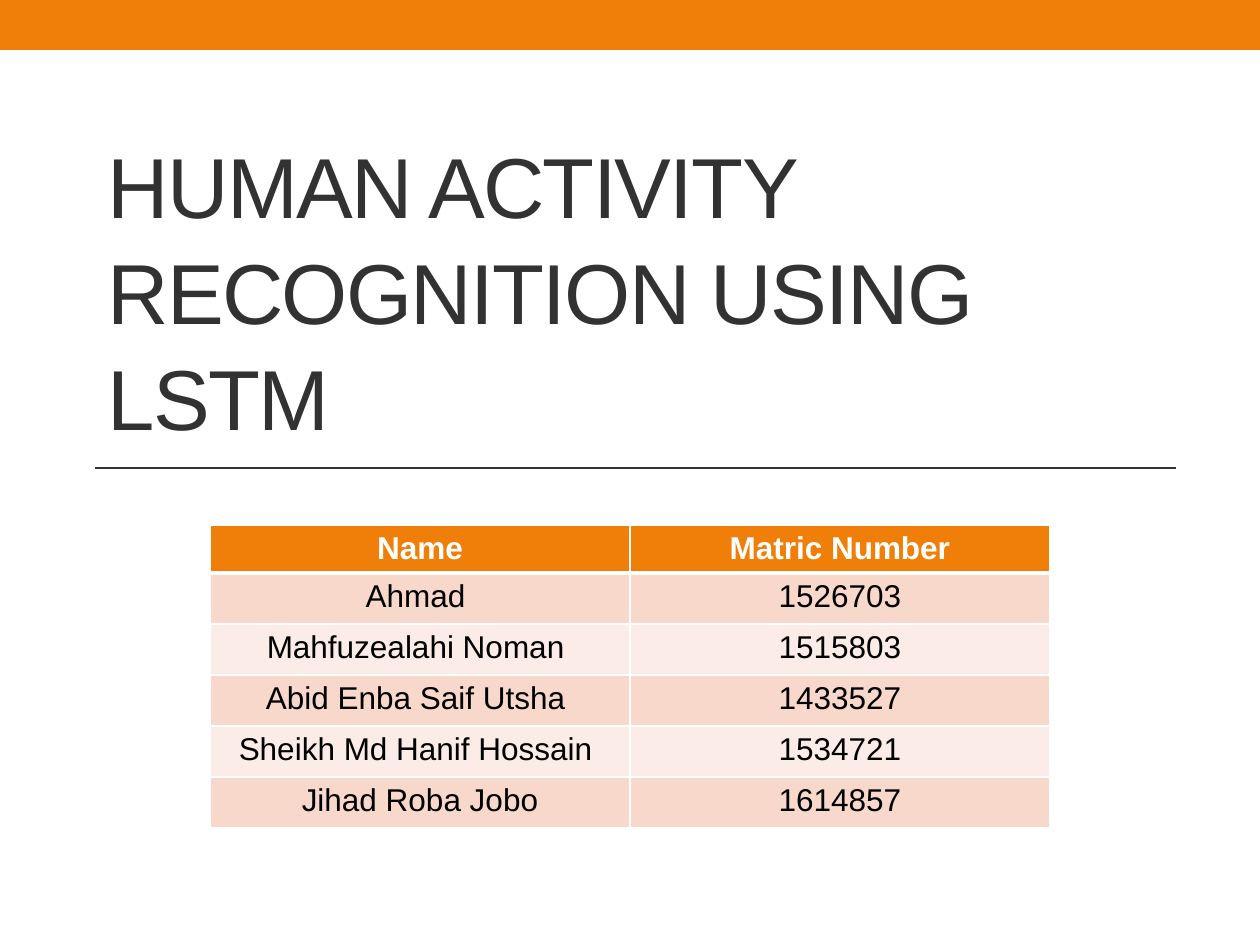
"""Build a title slide with a table of group members."""
from dataclasses import dataclass

from lxml.etree import SubElement
from pptx import Presentation
from pptx.dml.color import RGBColor
from pptx.enum.shapes import MSO_CONNECTOR, MSO_SHAPE
from pptx.enum.text import MSO_ANCHOR, MSO_AUTO_SIZE, PP_ALIGN
from pptx.oxml.ns import qn
from pptx.util import Emu, Pt

TITLE = "HUMAN ACTIVITY RECOGNITION USING LSTM"
ROWS = [
    ("Name", "Matric Number"),
    ("Ahmad ", "1526703"),
    ("Mahfuzealahi Noman ", "1515803"),
    ("Abid Enba Saif Utsha ", "1433527"),
    ("Sheikh Md Hanif Hossain ", "1534721"),
    ("Jihad Roba Jobo", "1614857"),
]


@dataclass(frozen=True)
class Theme:
    font: str = "Arial"
    accent: str = "F07F09"
    dark: str = "323232"
    white: str = "FFFFFF"
    black: str = "000000"
    bands: tuple = ("F9D8CC", "FCECE7")
    title_size: float = 48.6
    table_size: float = 18


THEME = Theme()
WIDTH, HEIGHT = 1260, 945
MARGIN, CONTENT_WIDTH = 95, 1081
TABLE_LEFT, TABLE_TOP, COLUMN_WIDTH = 210, 525, 420
HEADER_HEIGHT, ROW_HEIGHT = 48, 51


def px(value):
    return Emu(round(value * 914400 / 126))


def color(value):
    return RGBColor.from_string(value)


def style(paragraph, size, hue, alignment, bold=False):
    paragraph.alignment = alignment
    font = paragraph.font
    font.name, font.size, font.bold = THEME.font, Pt(size), bold
    font.color.rgb = color(hue)


def add_bar(slide):
    bar = slide.shapes.add_shape(MSO_SHAPE.RECTANGLE, 0, 0, px(WIDTH), px(50))
    bar.shadow.inherit = False
    bar.fill.solid()
    bar.fill.fore_color.rgb = color(THEME.accent)
    bar.line.fill.background()


def add_rule(slide):
    rule = slide.shapes.add_connector(
        MSO_CONNECTOR.STRAIGHT, px(MARGIN), px(468), px(MARGIN + CONTENT_WIDTH), px(468))
    rule.line.color.rgb = color(THEME.dark)
    rule.line.width = Pt(1.5)
    SubElement(rule._element.spPr, qn("a:effectLst"))


def fill_title(title):
    title.left, title.top = px(MARGIN), px(136)
    title.width, title.height = px(CONTENT_WIDTH), px(318)
    frame = title.text_frame
    frame.text = TITLE
    frame.word_wrap = True
    frame.auto_size = MSO_AUTO_SIZE.NONE
    frame.vertical_anchor = MSO_ANCHOR.BOTTOM
    paragraph = frame.paragraphs[0]
    style(paragraph, THEME.title_size, THEME.dark, PP_ALIGN.LEFT)
    paragraph.line_spacing = 1.04
    paragraph.runs[0]._r.get_or_add_rPr().set("spc", "-100")


def set_borders(cell, widths):
    properties = cell._tc.get_or_add_tcPr()
    for position, (side, width) in enumerate(widths.items()):
        line = properties.makeelement(qn(f"a:ln{side}"), {"w": str(Pt(width))})
        fill = SubElement(line, qn("a:solidFill"))
        SubElement(fill, qn("a:srgbClr"), val=THEME.white)
        properties.insert(position, line)


def add_table(slide):
    heights = [HEADER_HEIGHT] + [ROW_HEIGHT] * (len(ROWS) - 1)
    columns = len(ROWS[0])
    table = slide.shapes.add_table(
        len(ROWS), columns, px(TABLE_LEFT), px(TABLE_TOP),
        px(columns * COLUMN_WIDTH), px(sum(heights))).table
    for column in table.columns:
        column.width = px(COLUMN_WIDTH)
    for index, (values, height) in enumerate(zip(ROWS, heights)):
        header = index == 0
        table.rows[index].height = px(height)
        for cell, value in zip(table.rows[index].cells, values):
            cell.text = value
            cell.fill.solid()
            cell.fill.fore_color.rgb = color(
                THEME.accent if header else THEME.bands[(index - 1) % 2])
            style(cell.text_frame.paragraphs[0], THEME.table_size,
                  THEME.white if header else THEME.black, PP_ALIGN.CENTER, header)
            set_borders(cell, {"L": 1, "R": 1, "T": 3 if index == 1 else 1,
                               "B": 3 if header else 1})


def main():
    presentation = Presentation()
    presentation.slide_width, presentation.slide_height = px(WIDTH), px(HEIGHT)
    slide = presentation.slides.add_slide(presentation.slide_layouts[0])
    subtitle = slide.placeholders[1]._element
    subtitle.getparent().remove(subtitle)
    add_bar(slide)
    add_rule(slide)
    fill_title(slide.shapes.title)
    add_table(slide)
    presentation.save("out.pptx")


if __name__ == "__main__":
    main()
